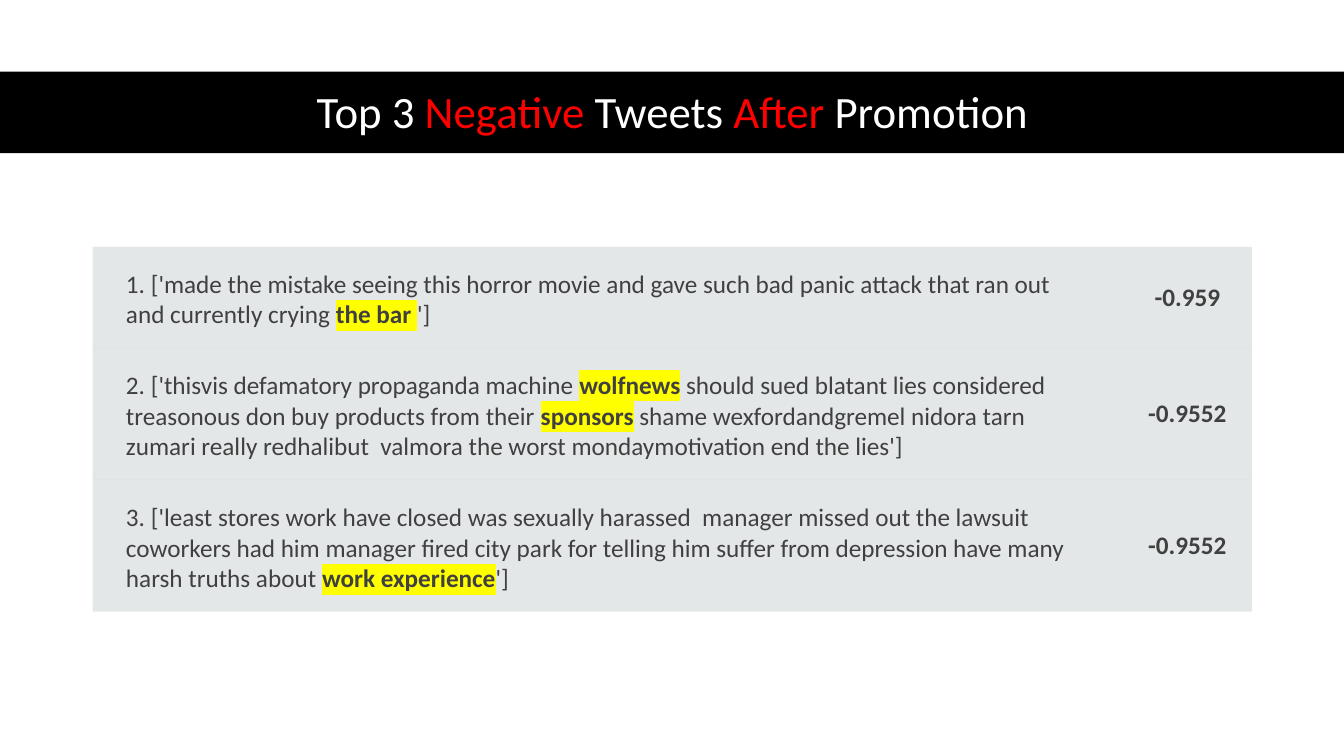
from dataclasses import dataclass

from lxml.etree import SubElement
from pptx import Presentation
from pptx.dml.color import RGBColor
from pptx.enum.shapes import MSO_SHAPE
from pptx.enum.text import MSO_ANCHOR, MSO_AUTO_SIZE, PP_ALIGN
from pptx.oxml.ns import qn
from pptx.util import Pt


@dataclass(frozen=True)
class Theme:
    font: str = "Calibri"
    title_size: int = 32
    body_size: int = 18
    band: str = "000000"
    title: str = "FFFFFF"
    accent: str = "FF0000"
    body: str = "404040"
    highlight: str = "FFFF00"
    cell: str = "B4BCBE"
    cell_alpha: int = 35000


THEME = Theme()
SLIDE_WIDTH, SLIDE_HEIGHT = 960, 540
MARGIN, CONTENT_WIDTH = 66.24, 828
COLUMN_WIDTHS = (724.3, 103.7)
ROW_HEIGHTS = (72, 94.3, 94.3)
NO_GRID_STYLE = "{2D5ABB26-0587-4C30-8999-92F81FD0307C}"

# Every second piece of a text is emphasised
TITLE = ("Top 3 ", "Negative", " Tweets ", "After", " Promotion")
TWEETS = (
    (("1. ['made the mistake seeing this horror movie and gave such bad panic "
      "attack that ran out and currently crying ", "the bar ", "']"), "-0.959"),
    (("2. ['thisvis defamatory propaganda machine ", "wolfnews",
      " should sued blatant lies considered treasonous don buy products from their ",
      "sponsors",
      " shame wexfordandgremel nidora tarn zumari really redhalibut  valmora "
      "the worst mondaymotivation end the lies']"), "-0.9552"),
    (("3. ['least stores work have closed was sexually harassed  manager missed "
      "out the lawsuit coworkers had him manager fired city park for telling him "
      "suffer from depression have many harsh truths about ",
      "work experience", "']"), "-0.9552"),
)


def apply(target, settings):
    for attribute, value in settings.items():
        setattr(target, attribute, value)


def add_run(paragraph, text, size, color, bold=False):
    run = paragraph.add_run()
    run.text = text
    apply(run.font, {"name": THEME.font, "size": Pt(size), "bold": bold})
    run.font.color.rgb = RGBColor.from_string(color)
    return run


def highlight(run):
    properties = run.font._element
    marker = SubElement(properties, qn("a:highlight"))
    SubElement(marker, qn("a:srgbClr"), val=THEME.highlight)
    # The schema wants the highlight right after the text fill
    properties.find(qn("a:solidFill")).addnext(marker)


def add_band(slide):
    band = slide.shapes.add_shape(
        MSO_SHAPE.RECTANGLE, 0, Pt(51.1), Pt(SLIDE_WIDTH), Pt(58.3))
    band.shadow.inherit = False
    band.fill.solid()
    band.fill.fore_color.rgb = RGBColor.from_string(THEME.band)
    band.line.fill.background()
    # Send the band behind the title
    slide.shapes.title._element.addprevious(band._element)


def fill_title(title):
    apply(title, {"left": Pt(MARGIN), "top": Pt(53.3),
                  "width": Pt(CONTENT_WIDTH), "height": Pt(56.2)})
    apply(title.text_frame, {"vertical_anchor": MSO_ANCHOR.MIDDLE,
                             "word_wrap": True, "auto_size": MSO_AUTO_SIZE.NONE})
    heading = title.text_frame.paragraphs[0]
    apply(heading, {"alignment": PP_ALIGN.CENTER, "line_spacing": 0.9})
    for index, piece in enumerate(TITLE):
        color = THEME.accent if index % 2 else THEME.title
        add_run(heading, piece, THEME.title_size, color)


def format_cell(cell, anchor):
    apply(cell, {"margin_left": Pt(23.76), "margin_top": Pt(12.24),
                 "margin_right": Pt(12.24), "margin_bottom": Pt(12.24),
                 "vertical_anchor": anchor})
    cell.fill.solid()
    cell.fill.fore_color.rgb = RGBColor.from_string(THEME.cell)
    tint = cell._tc.tcPr.find(qn("a:solidFill")).find(qn("a:srgbClr"))
    SubElement(tint, qn("a:alpha"), val=str(THEME.cell_alpha))


def fill_tweet(cell, pieces):
    format_cell(cell, MSO_ANCHOR.BOTTOM)
    tweet = cell.text_frame.paragraphs[0]
    for index, piece in enumerate(pieces):
        emphasised = index % 2 == 1
        run = add_run(tweet, piece, THEME.body_size, THEME.body, emphasised)
        if emphasised:
            highlight(run)


def fill_score(cell, text):
    format_cell(cell, MSO_ANCHOR.MIDDLE)
    score = cell.text_frame.paragraphs[0]
    score.alignment = PP_ALIGN.CENTER
    add_run(score, text, THEME.body_size, THEME.body, bold=True)


def add_tweet_table(slide):
    table = slide.shapes.add_table(
        len(TWEETS), len(COLUMN_WIDTHS), Pt(MARGIN), Pt(176.4),
        Pt(CONTENT_WIDTH), Pt(sum(ROW_HEIGHTS))).table
    apply(table, {"first_row": False, "horz_banding": False})
    table._tbl.tblPr.find(qn("a:tableStyleId")).text = NO_GRID_STYLE
    for column, width in zip(table.columns, COLUMN_WIDTHS):
        column.width = Pt(width)
    for index, (pieces, score) in enumerate(TWEETS):
        table.rows[index].height = Pt(ROW_HEIGHTS[index])
        fill_tweet(table.cell(index, 0), pieces)
        fill_score(table.cell(index, 1), score)


def main():
    deck = Presentation()
    apply(deck, {"slide_width": Pt(SLIDE_WIDTH), "slide_height": Pt(SLIDE_HEIGHT)})
    slide = deck.slides.add_slide(deck.slide_layouts.get_by_name("Title Only"))
    # Heading on its band
    add_band(slide)
    fill_title(slide.shapes.title)
    # Tweets with their sentiment scores
    add_tweet_table(slide)
    deck.save("out.pptx")


if __name__ == "__main__":
    main()
